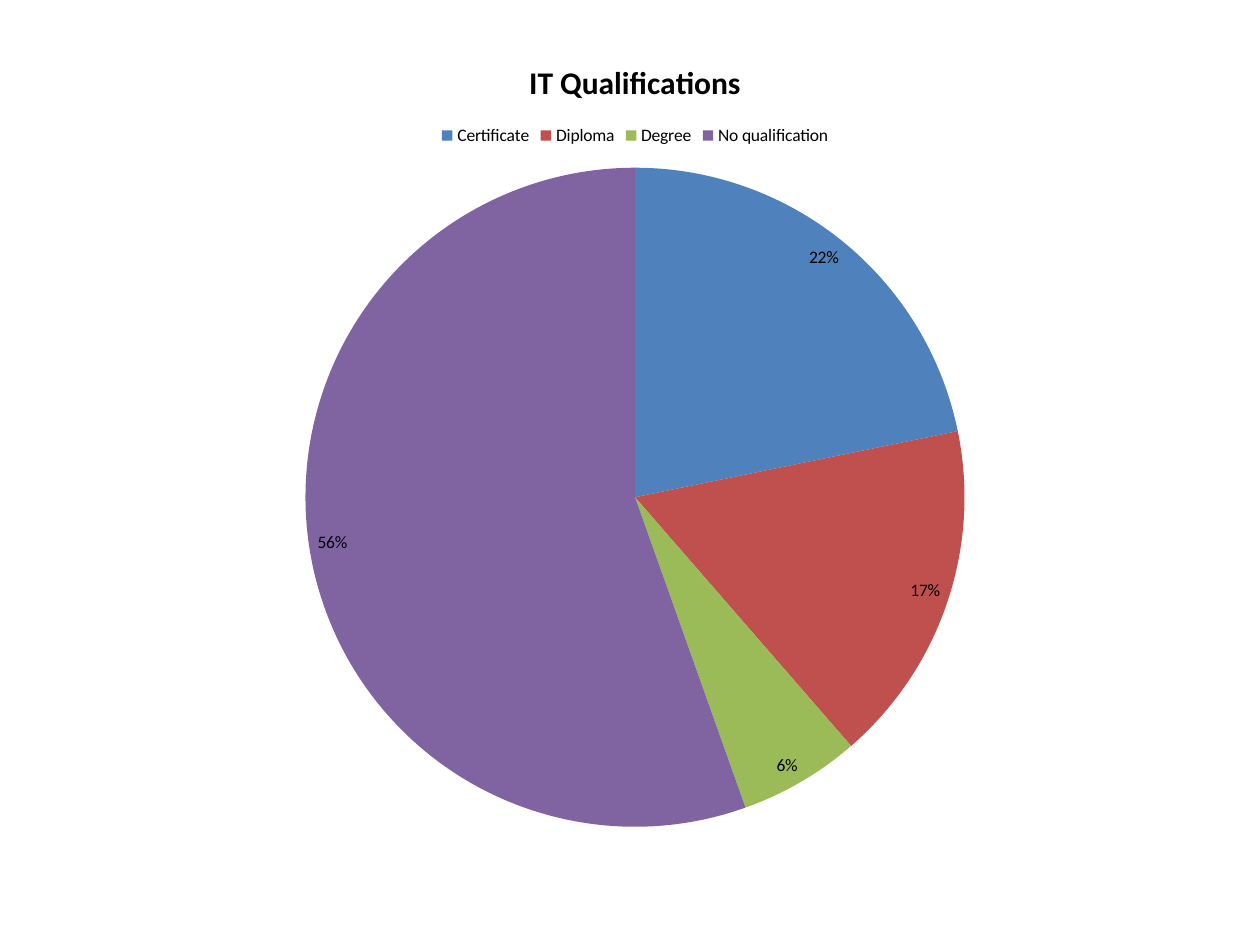
from pptx import Presentation
from pptx.chart.data import CategoryChartData as Data
from pptx.dml.color import RGBColor
from pptx.enum.chart import XL_CHART_TYPE as Kind
from pptx.enum.chart import XL_LABEL_POSITION as Spot
from pptx.enum.chart import XL_LEGEND_POSITION as Side
from pptx.util import Inches, Pt

BLACK = RGBColor(0x00, 0x00, 0x00)
BLUE = RGBColor(0x4F, 0x81, 0xBD)
RED = RGBColor(0xC0, 0x50, 0x4D)
GREEN = RGBColor(0x9B, 0xBB, 0x59)
PURPLE = RGBColor(0x80, 0x64, 0xA2)
TITLE = "IT Qualifications"

deck = Presentation()
deck.slide_width, deck.slide_height = Inches(10), Inches(7.5)
slide = deck.slides.add_slide(deck.slide_layouts[6])

# Share of each qualification, in percent
shares = [
    ("Certificate", 22, BLUE),
    ("Diploma", 17, RED),
    ("Degree", 6, GREEN),
    ("No qualification", 56, PURPLE),
]
data = Data()
data.categories = [name for name, share, color in shares]
data.add_series(TITLE, [share for name, share, color in shares])

# Pie chart
chart = slide.shapes.add_chart(
    Kind.PIE, Inches(0.5), Inches(0.25), Inches(9.08), Inches(6.45), data
).chart
chart.font.name = "Calibri"
chart.font.size = Pt(10)
chart.font.color.rgb = BLACK

# Title
chart.has_title = True
run = chart.chart_title.text_frame.paragraphs[0].add_run()
run.text = TITLE
run.font.name = "Calibri"
run.font.size = Pt(18)
run.font.bold = True
run.font.color.rgb = BLACK
chart.chart_title.include_in_layout = False

# Legend
chart.has_legend = True
chart.legend.position = Side.TOP
chart.legend.include_in_layout = False

# Slice colours
plot = chart.plots[0]
plot.vary_by_categories = True
for i, (name, share, color) in enumerate(shares):
    fill = plot.series[0].points[i].format.fill
    fill.solid()
    fill.fore_color.rgb = color

# Labels: the rounded shares add up to 101, so show them as they are
plot.has_data_labels = True
labels = plot.data_labels
labels.show_value = True
labels.number_format = '0"%"'
labels.number_format_is_linked = False
labels.position = Spot.INSIDE_END

deck.save("out.pptx")
